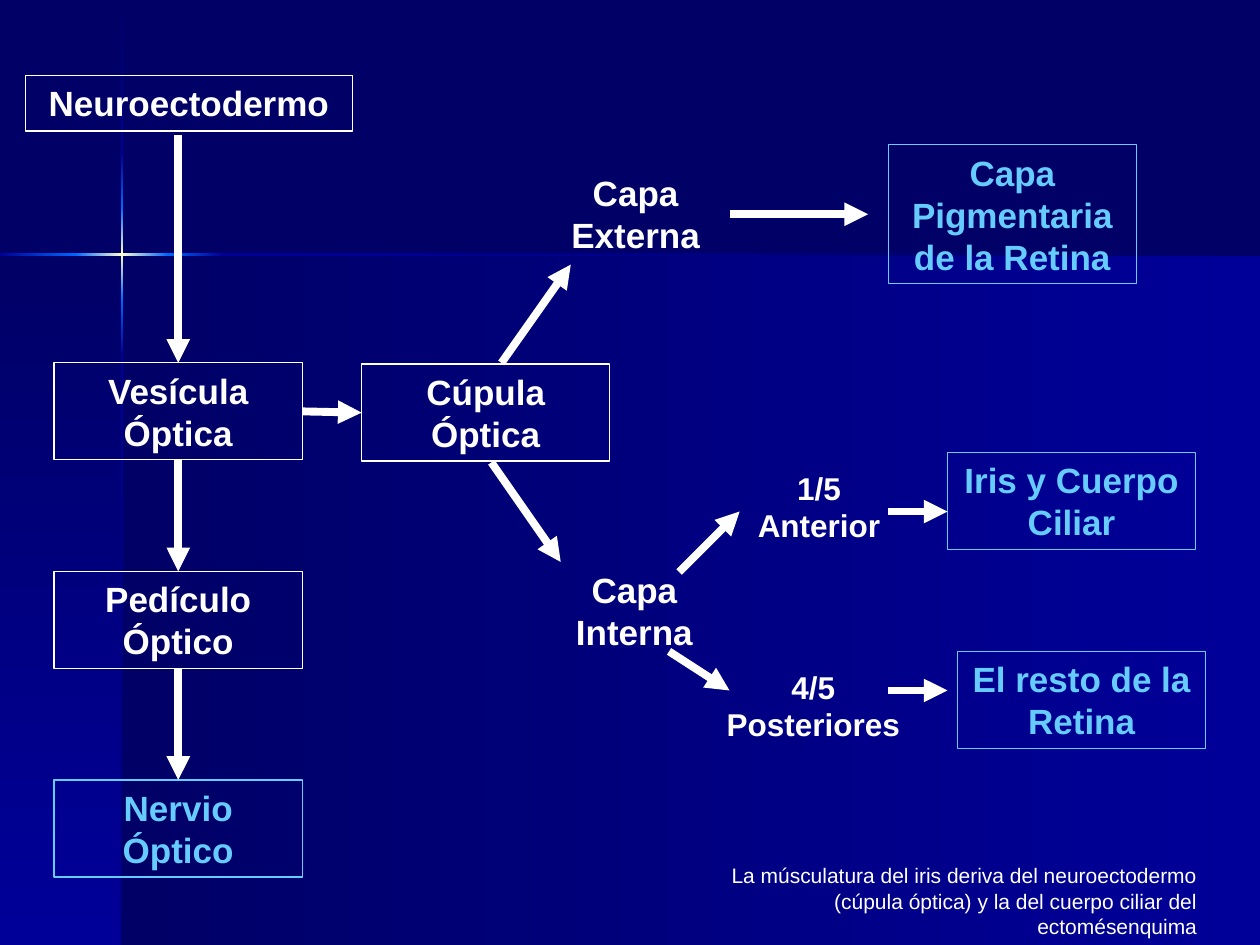
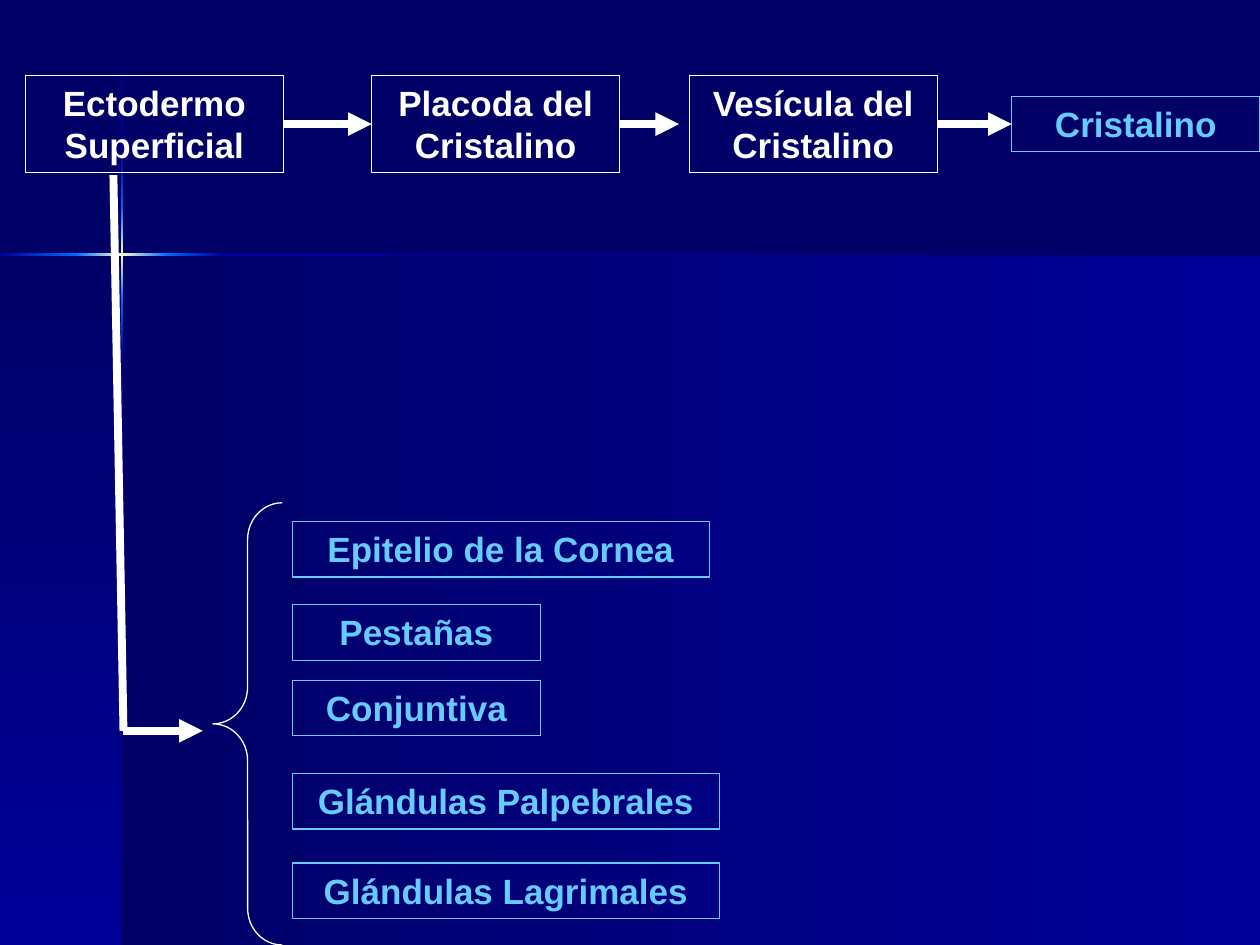
import dataclasses
import itertools
from typing import Any

import pptx
import pptx.util
import pptx.dml.color
import pptx.enum.shapes
import pptx.enum.text
import lxml.etree
import pptx.oxml.ns

RGB = pptx.dml.color.RGBColor
NAVY = RGB(0x00, 0x00, 0x66)
BLUE = RGB(0x00, 0x00, 0x99)
AZURE = RGB(0x00, 0x66, 0xFF)
CREAM = RGB(0xFF, 0xFF, 0xCC)
WHITE = RGB(0xFF, 0xFF, 0xFF)
SKY = RGB(0x66, 0xCC, 0xFF)

FONT = "Arial"
WIDE, HIGH = pptx.util.Inches(10), pptx.util.Inches(7.5)
# Square grid: 100 columns by 75 rows
COLS, ROWS = 100, 75
CELL = WIDE / COLS
BOX_W = 19.7
LINE_H = {1: 4.4, 2: 7.7, 3: 11}  # box height by lines of text
TOP, LEFT, BOTTOM, RIGHT = range(4)

SHAPE = pptx.enum.shapes.MSO_SHAPE
ALIGN = pptx.enum.text.PP_ALIGN


def grid(*cells):
    return [round(cell * CELL) for cell in cells]


def is_point(place):
    return isinstance(place[0], (int, float))


@dataclasses.dataclass
class Area:
    """A region of a slide; parts are placed from its top left corner."""
    slide: Any
    left: float
    top: float

    def spot(self, x, y):
        return grid(self.left + x, self.top + y)

    def letter(self, shape, text, color, size, bold, align):
        frame = shape.text_frame
        frame.word_wrap = True
        frame.auto_size = pptx.enum.text.MSO_AUTO_SIZE.SHAPE_TO_FIT_TEXT
        frame.vertical_anchor = pptx.enum.text.MSO_ANCHOR.TOP
        frame.text = text
        para = frame.paragraphs[0]
        para.alignment = align
        para.font.name = FONT
        para.font.size = pptx.util.Pt(size)
        para.font.bold = bold
        para.font.color.rgb = color

    def frame(self, kind, x, y, w, h, color):
        shape = self.slide.shapes.add_shape(kind, *self.spot(x, y), *grid(w, h))
        shape.shadow.inherit = False
        shape.fill.background()
        shape.line.color.rgb = color
        shape.line.width = pptx.util.Pt(0.75)
        return shape

    def box(self, text, x, y, lines=2, w=BOX_W, color=WHITE):
        shape = self.frame(SHAPE.RECTANGLE, x, y, w, LINE_H[lines], color)
        self.letter(shape, text, color, 20, True, ALIGN.CENTER)
        return shape

    def label(self, text, x, y, w, h=LINE_H[2], size=20, bold=True,
              align=ALIGN.CENTER):
        shape = self.slide.shapes.add_textbox(*self.spot(x, y), *grid(w, h))
        self.letter(shape, text, WHITE, size, bold, align)

    def arrow(self, start, end, head=True):
        """Each end is a point (x, y) or a joined side (shape, side)."""
        ends = [self.spot(*place) if is_point(place) else [0, 0]
                for place in (start, end)]
        line = self.slide.shapes.add_connector(
            pptx.enum.shapes.MSO_CONNECTOR.STRAIGHT, *ends[0], *ends[1])
        for place, join in ((start, line.begin_connect),
                            (end, line.end_connect)):
            if not is_point(place):
                join(*place)
        line.line.color.rgb = WHITE
        line.line.width = pptx.util.Pt(4.5)
        props = line.element.spPr
        if head:
            lxml.etree.SubElement(props.find(pptx.oxml.ns.qn("a:ln")),
                                  pptx.oxml.ns.qn("a:tailEnd"), type="triangle")
        lxml.etree.SubElement(props, pptx.oxml.ns.qn("a:effectLst"))


# Shared background: two panels and a glowing cross, kept on the master
def band(slide, x, y, w, h, first, last, down):
    shape = slide.shapes.add_shape(SHAPE.RECTANGLE, *grid(x, y, w, h))
    shape.shadow.inherit = False
    shape.line.fill.background()
    shape.fill.gradient()
    shape.fill.gradient_angle = 270 if down else 0
    for stop, color in zip(shape.fill.gradient_stops, (first, last)):
        stop.color.rgb = color
    return shape


def backdrop(deck, slide):
    x, y, thin = 9.7, 20.2, 0.2
    parts = [band(slide, x, y, COLS - x, ROWS - y, NAVY, BLUE, False),
             band(slide, 0, y, x, ROWS - y, NAVY, BLUE, True)]
    glow = [BLUE, AZURE, CREAM, AZURE, BLUE, NAVY]
    rays = ((True, [0, 12.1, 16.5, 20.15, 23.8, 28.2, ROWS], [NAVY] + glow),
            (False, [0, 6, 9.65, 13.3, 17.7, COLS], glow))
    for down, edges, colors in rays:
        steps = zip(itertools.pairwise(edges), itertools.pairwise(colors))
        for (near, far), tones in steps:
            place = ((x - 0.1, near, thin, far - near) if down
                     else (near, y - 0.1, far - near, thin))
            parts.append(band(slide, *place, *tones, down))
    master = deck.slide_master
    master.background.fill.solid()
    master.background.fill.fore_color.rgb = NAVY
    for rank, part in enumerate(parts):
        part.element.nvSpPr.cNvPr.set("id", str(101 + rank))
        master.element.cSld.spTree.insert(2 + rank, part.element)


# Slide 1: neuroectoderm
def stem(slide, left, top):
    """Column from neuroectoderm down to the optic nerve."""
    area = Area(slide, left, top)
    area.box("Neuroectodermo", 0, 0, 1, 26)
    names = ["Vesícula Óptica", "Pedículo Óptico", "Nervio Óptico"]
    boxes = [area.box(name, 2.3, 22.8 + 16.55 * row,
                      color=SKY if row == 2 else WHITE)
             for row, name in enumerate(names)]
    area.arrow((12.15, 4.7), (boxes[0], TOP))
    for upper, lower in itertools.pairwise(boxes):
        area.arrow((upper, BOTTOM), (lower, TOP))
    return boxes[0]


def cup(slide, left, top, source):
    """Optic cup and its two layers."""
    area = Area(slide, left, top)
    cup_box = area.box("Cúpula Óptica", 0, 0)
    area.arrow((source, RIGHT), (cup_box, LEFT))
    area.label("Capa Externa", 11.9, -15.8, BOX_W)
    area.label("Capa Interna", 13.4, 15.7, 16.5)
    area.arrow((11.1, -0.1), (16.6, -7.9))
    area.arrow((10.3, 7.8), (15.8, 15.7))


def fates(slide, left, top):
    """What each layer of the cup becomes."""
    area = Area(slide, left, top)
    area.box("Capa Pigmentaria de la Retina", 17.4, 0, 3, color=SKY)
    area.label("1/5 Anterior", 4.8, 25.2, 14.2, 7, 18)
    area.label("4/5 Posteriores", 1.6, 41, BOX_W, 7, 18)
    area.box("Iris y Cuerpo Ciliar", 22.1, 24.4, color=SKY)
    area.box("El resto de la Retina", 22.9, 40.2, color=SKY)
    area.arrow((4.8, 5.5), (15.8, 5.5))
    area.arrow((0.8, 33.9), (5.6, 29.1))
    area.arrow((0, 40.2), (4.8, 43.3))
    for y in (29.1, 43.3):
        area.arrow((17.4, y), (22.1, y))


def note(slide, left, top):
    Area(slide, left, top).label(
        "La músculatura del iris deriva del neuroectodermo (cúpula óptica) "
        "y la del cuerpo ciliar del ectomésenquima",
        0, 0, 42.9, 7, 12, False, ALIGN.RIGHT)


# Slide 2: surface ectoderm
def lens(slide, left, top):
    """Row from surface ectoderm to the lens."""
    area = Area(slide, left, top)
    skin = area.box("Ectodermo Superficial", 0, 0, w=20.5)
    plate = area.box("Placoda del Cristalino", 27.5, 0)
    sac = area.box("Vesícula del Cristalino", 52.7, 0)
    final = area.box("Cristalino", 78.3, 1.65, 1, color=SKY)
    area.arrow((skin, RIGHT), (plate, LEFT))
    area.arrow((plate, RIGHT), (51.9, 3.85))
    area.arrow((sac, RIGHT), (final, LEFT))


def others(slide, left, top):
    """Long branch, brace and the other derived parts."""
    area = Area(slide, left, top)
    area.arrow((0, 0), (0.8, 44.1), head=False)
    area.arrow((0.8, 44.1), (7.1, 44.1))
    brace = area.frame(SHAPE.LEFT_BRACE, 7.9, 26, 5.5, 35.1, WHITE)
    brace.adjustments[0] = 0.53
    for text, y, w in (("Epitelio de la Cornea", 27.5, 33.1),
                       ("Pestañas", 34.1, BOX_W),
                       ("Conjuntiva", 40.1, BOX_W),
                       ("Glándulas Palpebrales", 47.5, 33.9),
                       ("Glándulas Lagrimales", 54.6, 33.9)):
        area.box(text, 14.2, y, 1, w, SKY)


def main():
    deck = pptx.Presentation()
    deck.slide_width, deck.slide_height = WIDE, HIGH
    blank = deck.slide_layouts[6]
    neural, skin = (deck.slides.add_slide(blank) for _ in range(2))
    backdrop(deck, neural)

    source = stem(neural, 2, 6)
    cup(neural, 28.7, 28.9, source)
    fates(neural, 53.1, 11.5)
    note(neural, 53.1, 68)

    lens(skin, 2, 6)
    others(skin, 9, 13.9)
    deck.save("out.pptx")


if __name__ == "__main__":
    main()
